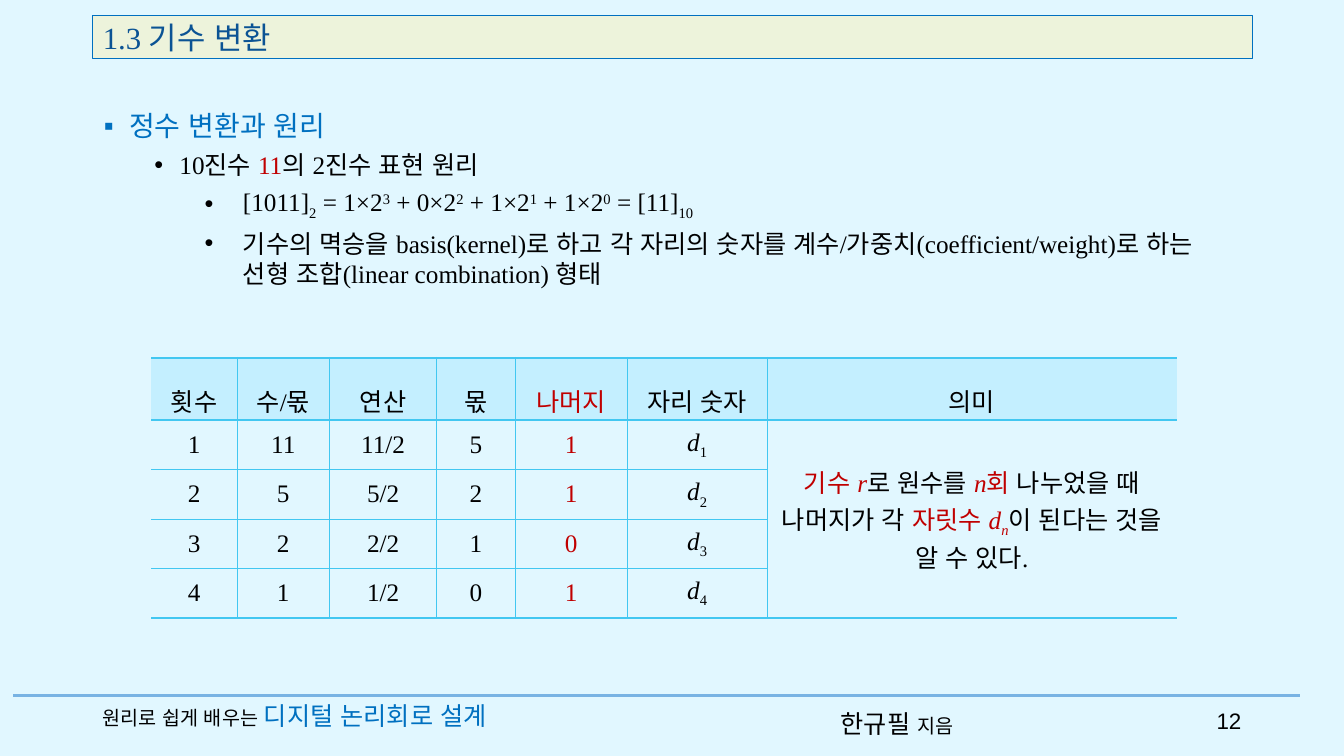
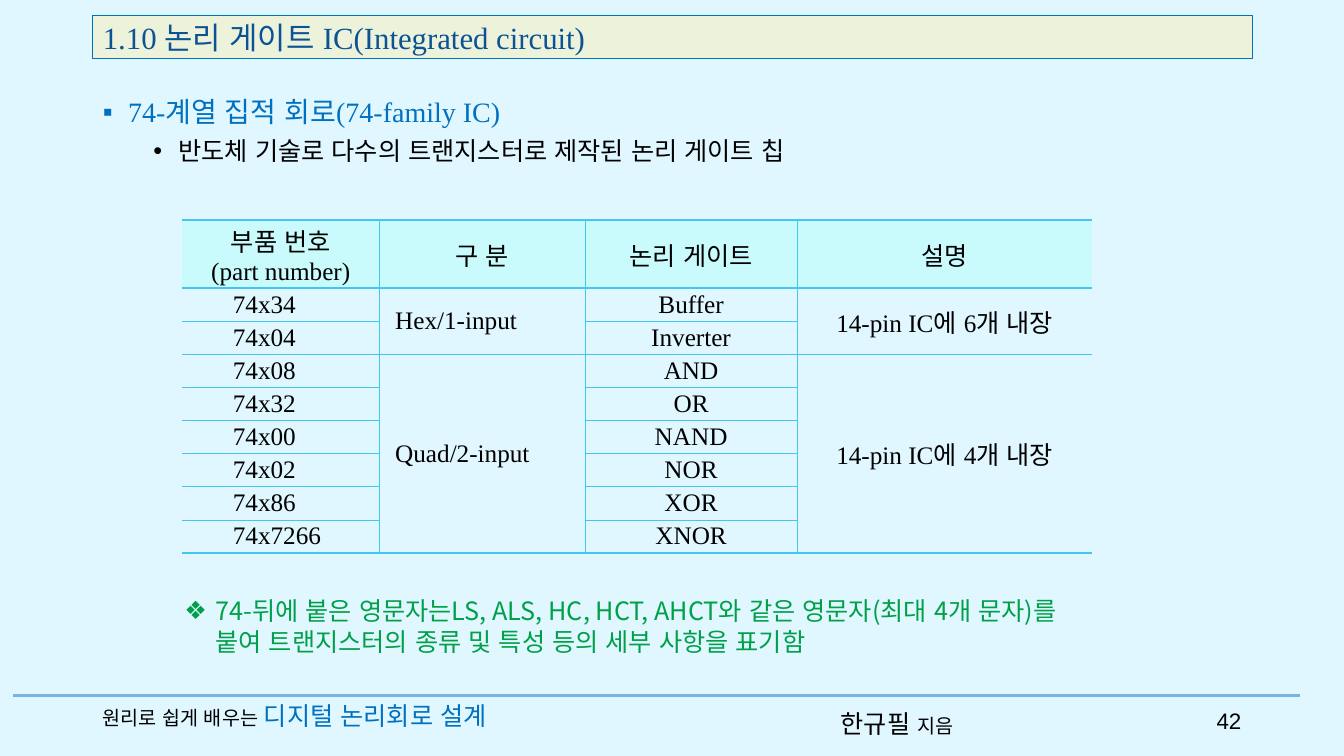
from dataclasses import dataclass

from lxml.etree import SubElement
from pptx import Presentation
from pptx.dml.color import RGBColor
from pptx.enum.lang import MSO_LANGUAGE_ID as Language
from pptx.enum.shapes import MSO_CONNECTOR as Connector
from pptx.enum.text import MSO_ANCHOR as Anchor, MSO_AUTO_SIZE as AutoSize, PP_ALIGN as Align
from pptx.oxml.ns import qn
from pptx.util import Inches, Pt

COLORS = {
    "background": "E1F7FF", "black": "000000", "blue": "0070C0", "title": "0B5394",
    "title_fill": "EDF3DB", "rule": "78B3E3", "red": "C00000", "green": "00A048",
    "border": "42C7F1", "sky": "C4EFFF", "aqua": "C9FAFC",
}
KOREAN = "Noto Sans CJK KR"
LATIN = "Times New Roman"
NO_STYLE = "{2D5ABB26-0587-4C30-8999-92F81FD0307C}"
THICK, THIN = 1.7, 0.28


@dataclass
class Run:
    """A piece of text with one format."""
    text: str
    color: str = "black"
    size: float = 18
    font: str = LATIN
    italic: bool = False
    baseline: int = 0


@dataclass
class Level:
    """Bullet and indents of a list level, in inches and points."""
    bullet: str
    left: float
    hanging: float
    before: float = 5


TOPIC = Level("▪", 0.25, 0.25, 10)
POINT = Level("•", 0.75, 0.25)
DETAIL = Level("•", 1.38, 0.38)
NOTE = Level("❖", 0.31, 0.31, 0)


def rgb(name):
    """Return a named colour."""
    return RGBColor.from_string(COLORS[name])


def red(text, **style):
    """Return a highlighted run."""
    return Run(text, color="red", **style)


def subscript(text, **style):
    """Return a lowered run."""
    return Run(text, baseline=-25, **style)


def superscript(text):
    """Return a raised run."""
    return Run(text, baseline=30)


def add_runs(paragraph, runs):
    """Add formatted runs to a paragraph; a newline run breaks the line."""
    for item in runs:
        if item.text == "\n":
            paragraph.add_line_break()
            continue
        run = paragraph.add_run()
        run.text = item.text
        font = run.font
        font.name, font.size, font.italic = item.font, Pt(item.size), item.italic
        font.color.rgb = rgb(item.color)
        font.language_id = Language.KOREAN
        properties = font._element
        if item.baseline:
            properties.set("baseline", str(item.baseline * 1000))
        SubElement(properties, qn("a:ea")).set("typeface", KOREAN)


def set_indent(paragraph, left, hanging=0):
    """Set the left margin and hanging indent in inches."""
    properties = paragraph._p.get_or_add_pPr()
    properties.set("marL", str(Inches(left)))
    properties.set("indent", str(-Inches(hanging)))
    return properties


def fill_list(frame, items):
    """Fill a text frame with bulleted paragraphs."""
    frame.word_wrap = True
    frame.auto_size = AutoSize.NONE
    for index, (level, runs) in enumerate(items):
        paragraph = frame.add_paragraph() if index else frame.paragraphs[0]
        paragraph.alignment = Align.LEFT
        paragraph.line_spacing = 1.0
        paragraph.space_before = Pt(level.before)
        properties = set_indent(paragraph, level.left, level.hanging)
        SubElement(properties, qn("a:buFont")).set("typeface", "Arial")
        SubElement(properties, qn("a:buChar")).set("char", level.bullet)
        add_runs(paragraph, runs)


def place(shape, left, top, width, height):
    """Move and size a shape in inches."""
    shape.left, shape.top = Inches(left), Inches(top)
    shape.width, shape.height = Inches(width), Inches(height)


def add_text(slide, box, runs, align=Align.LEFT):
    """Add a one-line text box."""
    frame = slide.shapes.add_textbox(*map(Inches, box)).text_frame
    frame.word_wrap = True
    frame.vertical_anchor = Anchor.MIDDLE
    frame.paragraphs[0].alignment = align
    add_runs(frame.paragraphs[0], runs)


def add_footer(slide, number):
    """Add the rule, book title, author and page number."""
    rule = slide.shapes.add_connector(
        Connector.STRAIGHT, Inches(0.13), Inches(6.9), Inches(12.89), Inches(6.9))
    rule.line.color.rgb = rgb("rule")
    rule.line.width = Pt(2.5)
    SubElement(rule._element.spPr, qn("a:effectLst"))
    add_text(slide, (0.92, 6.9, 4.63, 0.4),
             [Run("원리로 쉽게 배우는 ", size=14), Run("디지털 논리회로 설계", "blue")])
    add_text(slide, (8.24, 6.98, 1.53, 0.4),
             [Run("한규필 ", font=KOREAN), Run("지음", size=14, font=KOREAN)])
    add_text(slide, (11.79, 6.95, 0.62, 0.4),
             [Run(str(number), size=16, font="Arial")], Align.RIGHT)


def add_slide(presentation, title_text, number, body_box, items):
    """Add a slide with title band, bulleted body and footer."""
    slide = presentation.slides.add_slide(presentation.slide_layouts[1])
    title, body = slide.placeholders
    place(title, 0.92, 0.15, 11.5, 0.43)
    title.fill.solid()
    title.fill.fore_color.rgb = rgb("title_fill")
    title.line.color.rgb = rgb("blue")
    title.line.width = Pt(0.75)
    frame = title.text_frame
    frame.auto_size = AutoSize.NONE
    frame.vertical_anchor = Anchor.MIDDLE
    frame.paragraphs[0].alignment = Align.LEFT
    add_runs(frame.paragraphs[0], [Run(title_text, "title", 22)])
    place(body, *body_box)
    fill_list(body.text_frame, items)
    add_footer(slide, number)
    return slide


def add_border(cell, side, width):
    """Draw one edge of a cell."""
    line = SubElement(cell._tc.get_or_add_tcPr(), qn(f"a:ln{side}"), w=str(Pt(width)))
    fill = SubElement(line, qn("a:solidFill"))
    SubElement(fill, qn("a:srgbClr")).set("val", COLORS["border"])


def draw_borders(table):
    """Rule a table: thick top, header and bottom lines, thin inner lines, open sides."""
    row_count, column_count = len(table.rows), len(table.columns)
    for row in range(row_count):
        for column in range(column_count):
            cell = table.cell(row, column)
            if cell.is_spanned:
                continue
            end = row + (cell.span_height if cell.is_merge_origin else 1)
            if column > 0:
                add_border(cell, "L", THIN)
            if column < column_count - 1:
                add_border(cell, "R", THIN)
            add_border(cell, "T", THICK if row in (0, 1) else THIN)
            add_border(cell, "B", THICK if end in (1, row_count) else THIN)


def fill_cell(cell, paragraphs, left=None, spacing=1.0):
    """Write a cell, centred unless a left indent is given."""
    frame = cell.text_frame
    for index, runs in enumerate(paragraphs):
        paragraph = frame.add_paragraph() if index else frame.paragraphs[0]
        paragraph.line_spacing = spacing
        paragraph.alignment = Align.CENTER if left is None else Align.LEFT
        if left is not None:
            set_indent(paragraph, left)
        add_runs(paragraph, runs)


def add_table(slide, corner, widths, heights, rows, header_fill, header_spacing=1.0, indents=()):
    """Add a ruled table; a None entry extends the cell above it."""
    indents = dict(indents)
    size = sum(widths), sum(heights)
    table = slide.shapes.add_table(
        len(rows), len(widths), *map(Inches, (*corner, *size))).table
    table._tbl.tblPr.find(qn("a:tableStyleId")).text = NO_STYLE
    for column, width in zip(table.columns, widths):
        column.width = Inches(width)
    for row, height in zip(table.rows, heights):
        row.height = Inches(height)
    for column in range(len(widths)):
        starts = [row for row in range(len(rows)) if rows[row][column] is not None]
        for start, end in zip(starts, starts[1:] + [len(rows)]):
            if end - start > 1:
                table.cell(start, column).merge(table.cell(end - 1, column))
    draw_borders(table)
    for row, entries in enumerate(rows):
        for column, paragraphs in enumerate(entries):
            cell = table.cell(row, column)
            cell.vertical_anchor = Anchor.MIDDLE
            cell.margin_left = cell.margin_right = Inches(0.07)
            cell.margin_top = cell.margin_bottom = Pt(1)
            if row == 0:
                cell.fill.solid()
                cell.fill.fore_color.rgb = rgb(header_fill)
            else:
                cell.fill.background()
            if paragraphs is not None:
                fill_cell(cell, paragraphs, indents.get(column) if row else None,
                          1.0 if row else header_spacing)


def plain(*lines):
    """Return cell paragraphs of one plain run each."""
    return [[Run(line)] for line in lines]


def build_conversion(presentation):
    """Build the radix conversion slide."""
    expansion = [Run("[1011]"), subscript("2")]
    for position, digit in enumerate("1011"):
        expansion += [Run(f" {'+' if position else '='} {digit}×2"),
                      superscript(str(3 - position))]
    expansion += [Run(" = [11]"), subscript("10")]
    slide = add_slide(presentation, "1.3 기수 변환", 12, (0.93, 1.03, 11.5, 2.24), [
        (TOPIC, [Run("정수 변환과 원리", "blue", 20)]),
        (POINT, [Run("10진수 "), red("11"), Run("의 2진수 표현 원리")]),
        (DETAIL, expansion),
        (DETAIL, [Run("기수의 멱승을 basis(kernel)로 하고 각 자리의 숫자를 계수/가중치"
                      "(coefficient/weight)로 하는 선형 조합(linear combination) 형태")]),
    ])
    meaning = [[
        red("기수 "), red("r", italic=True), Run("로 원수를 "), red("n", italic=True),
        red("회"), Run(" 나누었을 때 나머지가 각 "), red("자릿수 "), red("d", italic=True),
        subscript("n", color="red", italic=True), Run("이 된다는 것을 알 수 있다."),
    ]]
    rows = [[*map(plain, ("횟수", "수/몫", "연산", "몫")), [[red("나머지")]],
             plain("자리 숫자"), plain("의미")]]
    value = 11
    for count in range(1, 5):
        quotient, remainder = divmod(value, 2)
        rows.append([
            *map(plain, (str(count), str(value), f"{value}/2", str(quotient))),
            [[red(str(remainder))]],
            [[Run("d", italic=True), subscript(str(count))]],
            meaning if count == 1 else None,
        ])
        value = quotient
    add_table(slide, (1.5, 3.55), (0.85, 0.92, 1.06, 0.78, 1.11, 1.39, 4.06),
              [0.62] + [0.49] * 4, rows, "sky", 1.6)


def build_gates(presentation):
    """Build the logic gate IC slide."""
    slide = add_slide(
        presentation, "1.10 논리 게이트 IC(Integrated circuit)", 42, (0.92, 0.89, 11.5, 1.11), [
            (TOPIC, [Run("74-계열 집적 회로(74-family IC)", "blue", 20)]),
            (POINT, [Run("반도체 기술로 다수의 트랜지스터로 제작된 논리 게이트 칩")]),
        ])
    groups = [
        ("Hex/1-input", 6, [("34", "Buffer"), ("04", "Inverter")]),
        ("Quad/2-input", 4, [("08", "AND"), ("32", "OR"), ("00", "NAND"),
                             ("02", "NOR"), ("86", "XOR"), ("7266", "XNOR")]),
    ]
    rows = [[plain("부품 번호", "(part number)"), *map(plain, ("구 분", "논리 게이트", "설명"))]]
    for kind, count, gates in groups:
        for index, (part, gate) in enumerate(gates):
            rows.append([
                plain(f"74x{part}"), None if index else plain(kind), plain(gate),
                None if index else plain(f"14-pin IC에 {count}개 내장"),
            ])
    add_table(slide, (1.81, 2.18), (1.95, 2.04, 2.11, 2.92), [0.68] + [0.32] * 8,
              rows, "aqua", indents={0: 0.43, 1: 0.09})
    note = slide.shapes.add_textbox(*map(Inches, (1.73, 5.86, 9.57, 0.71)))
    lines = ("74-뒤에 붙은 영문자는LS, ALS, HC, HCT, AHCT와 같은 영문자(최대 4개 문자)를", "\n",
             "붙여 트랜지스터의 종류 및 특성 등의 세부 사항을 표기함")
    fill_list(note.text_frame, [(NOTE, [Run(line, "green", font=KOREAN) for line in lines])])


def main():
    """Build and save the presentation."""
    presentation = Presentation()
    presentation.slide_width, presentation.slide_height = Inches(13.33), Inches(7.5)
    background = presentation.slide_master.background.fill
    background.solid()
    background.fore_color.rgb = rgb("background")
    build_conversion(presentation)
    build_gates(presentation)
    presentation.save("out.pptx")


if __name__ == "__main__":
    main()
